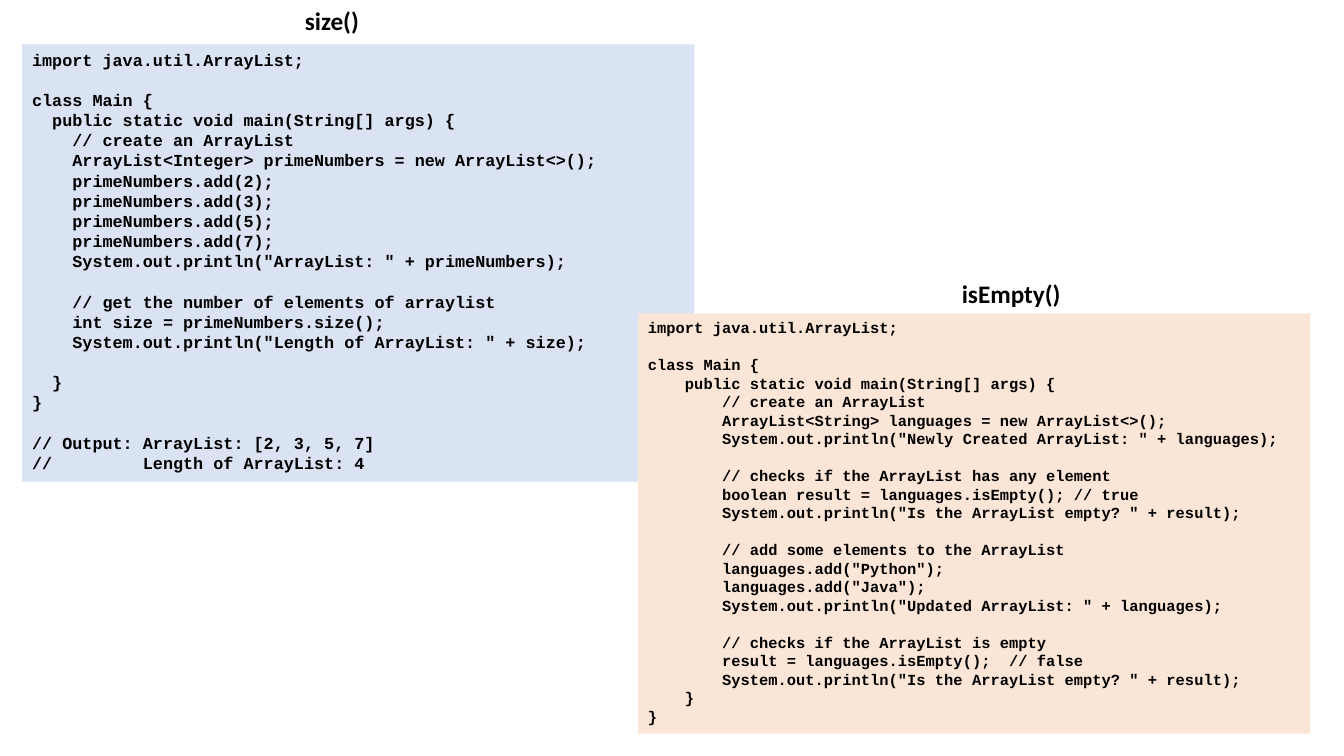
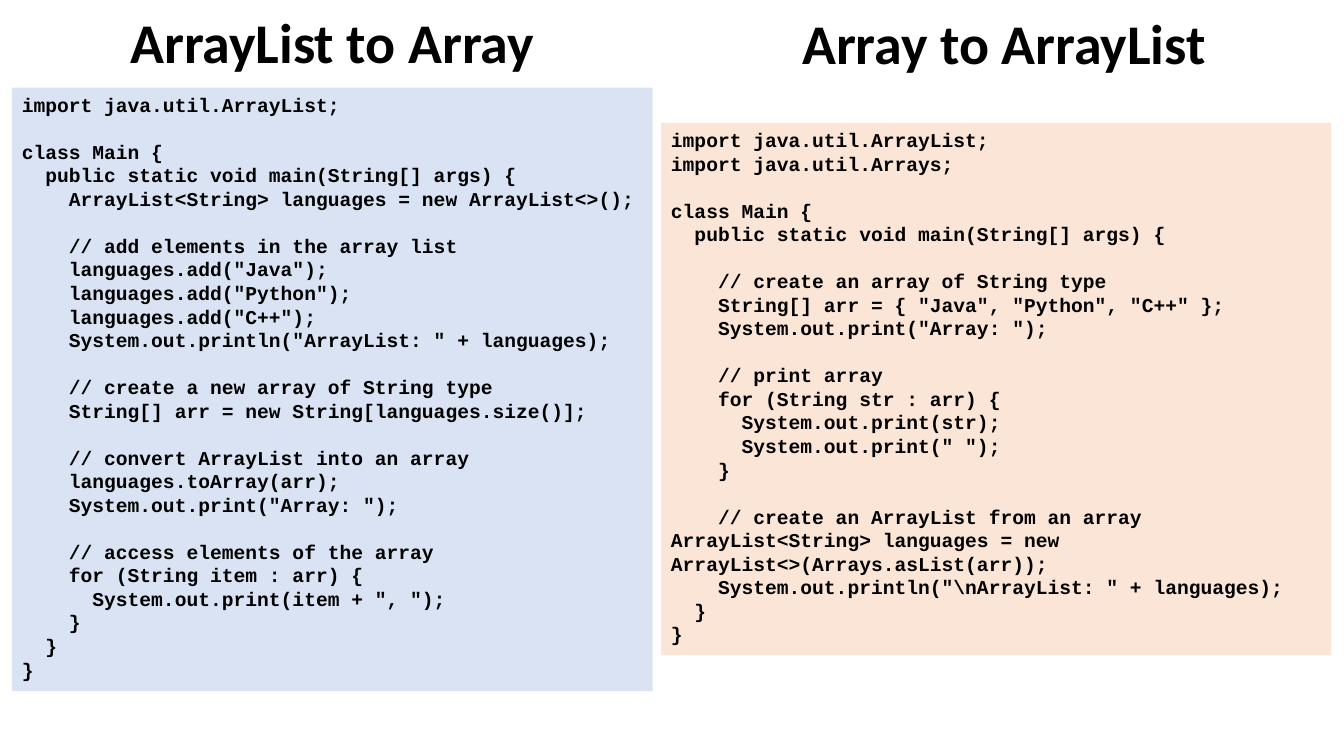
import pptx
import pptx.dml.color
import pptx.enum.shapes
import pptx.enum.text
import pptx.util

Cm, Pt = pptx.util.Cm, pptx.util.Pt
ALIGN = pptx.enum.text.PP_ALIGN
ANCHOR = pptx.enum.text.MSO_ANCHOR

COLORS = {"text": "000000", "blue": "DAE3F3", "peach": "FBE5D6"}
CODE_LINE = 1.2  # height of a code line relative to its font size

SIZE_CODE = """\
import java.util.ArrayList;

class Main {
  public static void main(String[] args) {
    // create an ArrayList
    ArrayList<Integer> primeNumbers = new ArrayList<>();
    primeNumbers.add(2);
    primeNumbers.add(3);
    primeNumbers.add(5);
    primeNumbers.add(7);
    System.out.println("ArrayList: " + primeNumbers);

    // get the number of elements of arraylist
    int size = primeNumbers.size();
    System.out.println("Length of ArrayList: " + size);

  }
}

// Output: ArrayList: [2, 3, 5, 7]
//         Length of ArrayList: 4"""

IS_EMPTY_CODE = """\
import java.util.ArrayList;

class Main {
    public static void main(String[] args) {
        // create an ArrayList
        ArrayList<String> languages = new ArrayList<>();
        System.out.println("Newly Created ArrayList: " + languages);

        // checks if the ArrayList has any element
        boolean result = languages.isEmpty(); // true
        System.out.println("Is the ArrayList empty? " + result);

        // add some elements to the ArrayList
        languages.add("Python");
        languages.add("Java");
        System.out.println("Updated ArrayList: " + languages);

        // checks if the ArrayList is empty
        result = languages.isEmpty();  // false
        System.out.println("Is the ArrayList empty? " + result);
    }
}"""

TO_ARRAY_CODE = """\
import java.util.ArrayList;

class Main {
  public static void main(String[] args) {
    ArrayList<String> languages = new ArrayList<>();

    // add elements in the array list
    languages.add("Java");
    languages.add("Python");
    languages.add("C++");
    System.out.println("ArrayList: " + languages);

    // create a new array of String type
    String[] arr = new String[languages.size()];

    // convert ArrayList into an array
    languages.toArray(arr);
    System.out.print("Array: ");

    // access elements of the array
    for (String item : arr) {
      System.out.print(item + ", ");
    }
  }
}"""

TO_LIST_CODE = r"""import java.util.ArrayList;
import java.util.Arrays;

class Main {
  public static void main(String[] args) {

    // create an array of String type
    String[] arr = { "Java", "Python", "C++" };
    System.out.print("Array: ");

    // print array
    for (String str : arr) {
      System.out.print(str);
      System.out.print(" ");
    }

    // create an ArrayList from an array
ArrayList<String> languages = new ArrayList<>(Arrays.asList(arr));
    System.out.println("\nArrayList: " + languages);
  }
}"""


def rgb(name):
    return pptx.dml.color.RGBColor.from_string(COLORS[name])


def write_text(tf, text, font="Calibri", size=18, align=ALIGN.LEFT,
               anchor=ANCHOR.TOP, line_spacing=None):
    """Write one paragraph per line; an empty line becomes space before."""
    tf.word_wrap = True
    tf.vertical_anchor = anchor
    p, gap = None, 0
    for line in text.split("\n"):
        if not line:
            gap += size * CODE_LINE
            continue
        p = tf.add_paragraph() if p is not None else tf.paragraphs[0]
        p.alignment = align
        if line_spacing:
            p.line_spacing = line_spacing
        if gap:
            p.space_before = Pt(gap)
            gap = 0
        r = p.add_run()
        r.text = line
        r.font.name, r.font.size, r.font.bold = font, Pt(size), True
        r.font.color.rgb = rgb("text")


class Deck:
    def __init__(self):
        self.prs = pptx.Presentation()
        self.prs.slide_width, self.prs.slide_height = Cm(33.87), Cm(19.05)
        self.s = None

    def slide(self):
        self.s = self.prs.slides.add_slide(self.prs.slide_layouts[6])

    def heading(self, text, box, **style):
        sp = self.s.shapes.add_textbox(*map(Cm, box))
        write_text(sp.text_frame, text, align=ALIGN.CENTER, **style)

    def title(self, text, box):
        self.heading(text, box, size=40, anchor=ANCHOR.MIDDLE, line_spacing=0.9)

    def code(self, text, box, fill, size=14):
        rect = pptx.enum.shapes.MSO_SHAPE.RECTANGLE
        sp = self.s.shapes.add_shape(rect, *map(Cm, box))
        sp.shadow.inherit = False
        sp.fill.solid()
        sp.fill.fore_color.rgb = rgb(fill)
        sp.line.fill.background()
        write_text(sp.text_frame, text, font="Courier New", size=size)


def main():
    deck = Deck()

    # Size and emptiness of a list
    deck.slide()
    deck.code(SIZE_CODE, (0.56, 1.12, 16.94, 11.02), "blue", size=12)
    deck.code(IS_EMPTY_CODE, (16.08, 7.9, 16.94, 10.59), "peach", size=11)
    deck.heading("size()", (5.66, 0, 5.41, 1.02))
    deck.heading("isEmpty()", (22.78, 6.88, 5.41, 1.02))

    # Conversion in both directions
    deck.slide()
    deck.title("ArrayList to Array", (0.3, 0.36, 16.15, 1.57))
    deck.code(TO_ARRAY_CODE, (0.3, 2.21, 16.15, 15.21), "blue")
    deck.title("Array to ArrayList", (17.42, 0.41, 15.77, 1.5))
    deck.code(TO_LIST_CODE, (16.66, 3.1, 16.89, 13.41), "peach")

    deck.prs.save("out.pptx")


if __name__ == "__main__":
    main()
